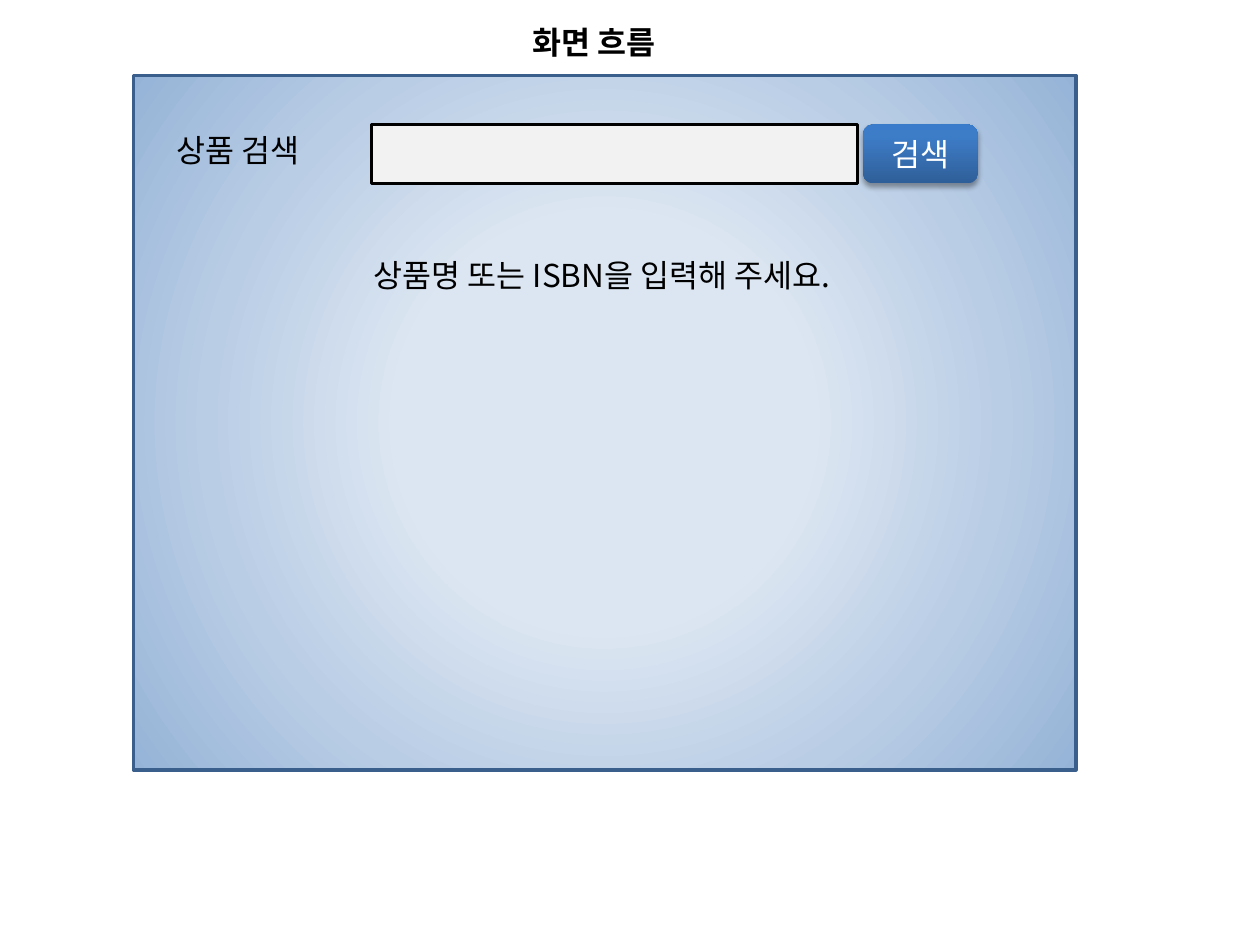
from dataclasses import dataclass

import lxml.etree
import pptx
import pptx.dml.color
import pptx.enum.shapes
import pptx.enum.text
import pptx.oxml
import pptx.oxml.ns
import pptx.util
from pptx.util import Cm

SHAPES = pptx.enum.shapes.MSO_SHAPE
ALIGN = pptx.enum.text.PP_ALIGN
ANCHOR = pptx.enum.text.MSO_ANCHOR
AUTO_SIZE = pptx.enum.text.MSO_AUTO_SIZE


@dataclass(frozen=True)
class Theme:
    """Colours, font and sizes of the slide."""
    font: str = "Noto Sans CJK KR"
    text_size: float = 18
    line_width: float = 2
    ink: str = "000000"
    button_ink: str = "FFFFFF"
    field: str = "F2F2F2"
    panel_line: str = "3A5F8C"
    panel_stops: tuple = ((35, "DCE6F2"), (68, "B9CDE5"), (100, "95B3D7"))
    button_stops: tuple = ((0, "2F5F99"), (80, "3D7CC7"), (100, "3A7CCB"))


@dataclass(frozen=True)
class Box:
    """Position and size in centimetres."""
    left: float
    top: float
    width: float
    height: float

    def lengths(self) -> tuple:
        """Return the four values as slide lengths."""
        return Cm(self.left), Cm(self.top), Cm(self.width), Cm(self.height)


THEME = Theme()
ROW_TOP = 2.51
ROW_HEIGHT = 1.19
TEXT_HEIGHT = 1.02
RADIAL = ('<a:path path="circle"><a:fillToRect l="50000" t="50000" '
          'r="50000" b="50000"/></a:path>')
UPWARD = '<a:lin ang="16200000" scaled="0"/>'


def rgb(colour: str):
    """Turn a hex string into a colour."""
    return pptx.dml.color.RGBColor.from_string(colour)


def write_text(shape, text: str, *, colour=THEME.ink, bold=False,
               align=ALIGN.LEFT, anchor=ANCHOR.TOP, grow=True) -> None:
    """Put one formatted line of text into a shape."""
    frame = shape.text_frame
    frame.word_wrap = True
    frame.vertical_anchor = anchor
    frame.auto_size = AUTO_SIZE.SHAPE_TO_FIT_TEXT if grow else AUTO_SIZE.NONE
    paragraph = frame.paragraphs[0]
    paragraph.alignment = align
    run = paragraph.add_run()
    run.text = text
    font = run.font
    font.name, font.size, font.bold = THEME.font, pptx.util.Pt(THEME.text_size), bold
    font.color.rgb = rgb(colour)
    east_asian = lxml.etree.SubElement(font._element, pptx.oxml.ns.qn("a:ea"))
    east_asian.set("typeface", THEME.font)


def add_label(slide, box: Box, text: str) -> None:
    """Add a text box with one line."""
    write_text(slide.shapes.add_textbox(*box.lengths()), text)


def add_block(slide, kind, box: Box, *, fill=None, line=None):
    """Add a preset shape with a plain fill and an optional outline."""
    shape = slide.shapes.add_shape(kind, *box.lengths())
    shape.shadow.inherit = False
    shape.fill.background()
    if fill:
        shape.fill.solid()
        shape.fill.fore_color.rgb = rgb(fill)
    if line:
        shape.line.color.rgb = rgb(line)
        shape.line.width = pptx.util.Pt(THEME.line_width)
    else:
        shape.line.fill.background()
    return shape


def set_gradient(shape, stops: tuple, direction: str) -> None:
    """Replace the empty fill of a shape by a gradient."""
    stop_xml = "".join(
        f'<a:gs pos="{position * 1000}"><a:srgbClr val="{colour}"/></a:gs>'
        for position, colour in stops)
    gradient = pptx.oxml.parse_xml(
        f'<a:gradFill {pptx.oxml.ns.nsdecls("a")} rotWithShape="1">'
        f'<a:gsLst>{stop_xml}</a:gsLst>{direction}</a:gradFill>')
    properties = shape._element.spPr
    properties.replace(properties.find(pptx.oxml.ns.qn("a:noFill")), gradient)


def set_shadow(shape) -> None:
    """Give a shape a soft shadow below it."""
    effects = shape._element.spPr.find(pptx.oxml.ns.qn("a:effectLst"))
    effects.append(pptx.oxml.parse_xml(
        f'<a:outerShdw {pptx.oxml.ns.nsdecls("a")} blurRad="{pptx.util.Pt(3.1)}" '
        f'dist="{pptx.util.Pt(1.8)}" dir="5400000" rotWithShape="0">'
        f'<a:srgbClr val="{THEME.ink}"><a:alpha val="35000"/></a:srgbClr>'
        '</a:outerShdw>'))


def add_title(slide, box: Box, text: str) -> None:
    """Move and fill the title placeholder."""
    title = slide.shapes.title
    title.left, title.top, title.width, title.height = box.lengths()
    write_text(title, text, bold=True, align=ALIGN.CENTER)


def add_button(slide, box: Box, text: str) -> None:
    """Add a rounded button with a gradient and a shadow."""
    button = add_block(slide, SHAPES.ROUNDED_RECTANGLE, box)
    set_gradient(button, THEME.button_stops, UPWARD)
    set_shadow(button)
    write_text(button, text, colour=THEME.button_ink, align=ALIGN.CENTER,
               anchor=ANCHOR.MIDDLE, grow=False)


def main() -> None:
    """Build the search screen slide."""
    presentation = pptx.Presentation()
    presentation.slide_width, presentation.slide_height = Cm(25.4), Cm(19.05)
    slide = presentation.slides.add_slide(presentation.slide_layouts[5])

    panel = add_block(slide, SHAPES.RECTANGLE, Box(2.69, 1.52, 19, 14),
                      line=THEME.panel_line)
    set_gradient(panel, THEME.panel_stops, RADIAL)
    add_title(slide, Box(5.51, 0.33, 12.8, TEXT_HEIGHT), " 화면 흐름")
    add_block(slide, SHAPES.RECTANGLE, Box(7.49, ROW_TOP, 9.8, ROW_HEIGHT),
              fill=THEME.field, line=THEME.ink)
    add_label(slide, Box(3.3, ROW_TOP, 3.4, TEXT_HEIGHT), "상품 검색")
    add_button(slide, Box(17.4, ROW_TOP, 2.31, ROW_HEIGHT), "검색")
    add_label(slide, Box(7.29, 5.03, 11, TEXT_HEIGHT),
              "상품명 또는 ISBN을 입력해 주세요.")
    presentation.save("out.pptx")


main()
